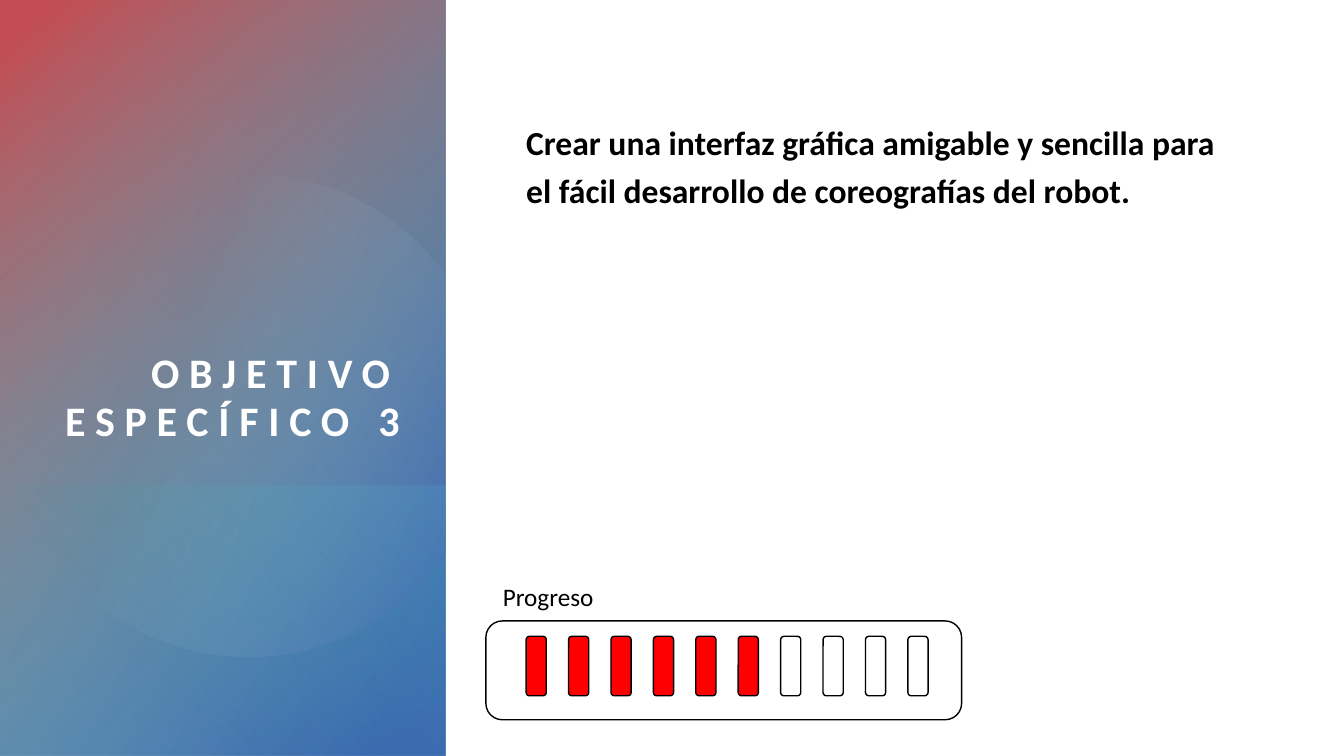
import math

import pptx
import pptx.dml.color
import pptx.enum.shapes
import pptx.enum.text
import pptx.oxml
import pptx.oxml.ns
import pptx.util

Pt = pptx.util.Pt
RGBColor = pptx.dml.color.RGBColor
MSO_SHAPE = pptx.enum.shapes.MSO_SHAPE
PP_ALIGN = pptx.enum.text.PP_ALIGN
MSO_ANCHOR = pptx.enum.text.MSO_ANCHOR
qn = pptx.oxml.ns.qn

BLACK = RGBColor(0x00, 0x00, 0x00)
WHITE = RGBColor(0xFF, 0xFF, 0xFF)
BRIGHT_RED = RGBColor(0xFF, 0x00, 0x00)
CORAL = RGBColor(0xC3, 0x4D, 0x54)
BLUE = RGBColor(0x3B, 0x5D, 0xB1)
SKY = RGBColor(0x4D, 0xA1, 0xC3)
TEAL = RGBColor(0x3B, 0xB1, 0xA3)
MINT = RGBColor(0xD6, 0xF1, 0xEE)

PANEL_WIDTH = 318.24
SLIDE_WIDTH, SLIDE_HEIGHT = 960, 540


def write_text(frame, text, size, color=BLACK, bold=False, align=PP_ALIGN.LEFT,
               anchor=MSO_ANCHOR.TOP, line_spacing=1.0, tracking=0,
               margins=(0, 0), wrap=True):
    frame.auto_size = pptx.enum.text.MSO_AUTO_SIZE.NONE
    frame.word_wrap = wrap
    frame.vertical_anchor = anchor
    frame.margin_left = frame.margin_right = Pt(margins[0])
    frame.margin_top = frame.margin_bottom = Pt(margins[1])
    paragraph = frame.paragraphs[0]
    paragraph.alignment = align
    paragraph.line_spacing = line_spacing
    paragraph.space_before = Pt(0)
    run = paragraph.add_run()
    run.text = text
    run.font.name = "Calibri"
    run.font.size = Pt(size)
    run.font.bold = bold
    run.font.color.rgb = color
    if tracking:
        run.font._element.set("spc", str(tracking * 100))


class ObjectiveSlide:
    def __init__(self, deck):
        self.slide = deck.slides.add_slide(deck.slide_layouts[5])
        self.shapes = self.slide.shapes

    def gradient(self, shape, stops, angle):
        shape.shadow.inherit = False
        shape.line.fill.background()
        shape.fill.gradient()
        shape.fill.gradient_angle = -angle % 360
        for stop, (position, color, _) in zip(shape.fill.gradient_stops, stops):
            stop.position = position / 100
            stop.color.rgb = color
        colors = shape._element.spPr.iter(qn("a:srgbClr"))
        for color, (_, _, opacity) in zip(colors, stops):
            alpha = pptx.oxml.parse_xml(
                f'<a:alpha {pptx.oxml.ns.nsdecls("a")} val="{opacity * 1000}"/>')
            color.append(alpha)

    def gradient_band(self, top, height, stops, angle):
        band = self.shapes.add_shape(MSO_SHAPE.RECTANGLE, Pt(0), Pt(top),
                                     Pt(PANEL_WIDTH), Pt(height))
        self.gradient(band, stops, angle)

    def cut_circle(self, center_x, center_y, radius, right, stops, angle):
        start = math.acos((right - center_x) / radius)
        steps = 120
        sweep = 2 * (math.pi - start)
        angles = [start + sweep * step / steps for step in range(steps + 1)]
        rim = [(Pt(center_x + radius * math.cos(a)),
                Pt(center_y + radius * math.sin(a))) for a in angles]
        outline = self.shapes.build_freeform(*rim[0])
        outline.add_line_segments(rim[1:], close=True)
        self.gradient(outline.convert_to_shape(), stops, angle)

    def rounded_box(self, left, top, width, height, fill=None):
        box = self.shapes.add_shape(MSO_SHAPE.ROUNDED_RECTANGLE, Pt(left), Pt(top),
                                    Pt(width), Pt(height))
        box.shadow.inherit = False
        box.line.color.rgb = BLACK
        box.line.width = Pt(1)
        if fill is None:
            box.fill.background()
        else:
            box.fill.solid()
            box.fill.fore_color.rgb = fill

    def title(self, left, top, width, height, text, **style):
        heading = self.shapes.title
        heading.left, heading.top = Pt(left), Pt(top)
        heading.width, heading.height = Pt(width), Pt(height)
        self.shapes._spTree.append(heading._element)
        write_text(heading.text_frame, text, **style)

    def text(self, left, top, width, height, text, **style):
        box = self.shapes.add_textbox(Pt(left), Pt(top), Pt(width), Pt(height))
        write_text(box.text_frame, text, **style)


def main():
    deck = pptx.Presentation()
    deck.slide_width, deck.slide_height = Pt(SLIDE_WIDTH), Pt(SLIDE_HEIGHT)
    page = ObjectiveSlide(deck)

    page.gradient_band(0, SLIDE_HEIGHT, [(8, BLUE, 100), (100, SKY, 72)], 210)
    page.gradient_band(0, SLIDE_HEIGHT, [(0, TEAL, 0), (96, CORAL, 100)], 230)
    page.gradient_band(347, 193, [(2, SKY, 35), (67, TEAL, 0)], 140)
    page.cut_circle(177.5, 296.5, 172.5, PANEL_WIDTH,
                    [(39, MINT, 0), (100, BLUE, 29)], 21.6)

    page.title(30.24, 81.36, 255.6, 237.6, "OBJETIVO ESPECÍFICO 3", size=30,
               color=WHITE, bold=True, align=PP_ALIGN.RIGHT,
               anchor=MSO_ANCHOR.BOTTOM, line_spacing=0.95, tracking=7)
    page.text(375.84, 81.36, 493.92, 122.4,
              "Crear una interfaz gráfica amigable y sencilla para el fácil "
              "desarrollo de coreografías del robot.",
              size=24, bold=True, line_spacing=1.2)

    page.rounded_box(347.04, 443.5, 339.84, 70.6)
    total_steps, done_steps, pitch = 10, 6, 30.3
    for step in range(total_steps):
        page.rounded_box(375.84 + step * pitch, 454.5, 14.4, 42.5,
                         BRIGHT_RED if step < done_steps else None)
    page.text(352.08, 411.84, 80.64, 28.8, "Progreso", size=18,
              margins=(7.2, 3.6), wrap=False)

    deck.save("out.pptx")


if __name__ == "__main__":
    main()
